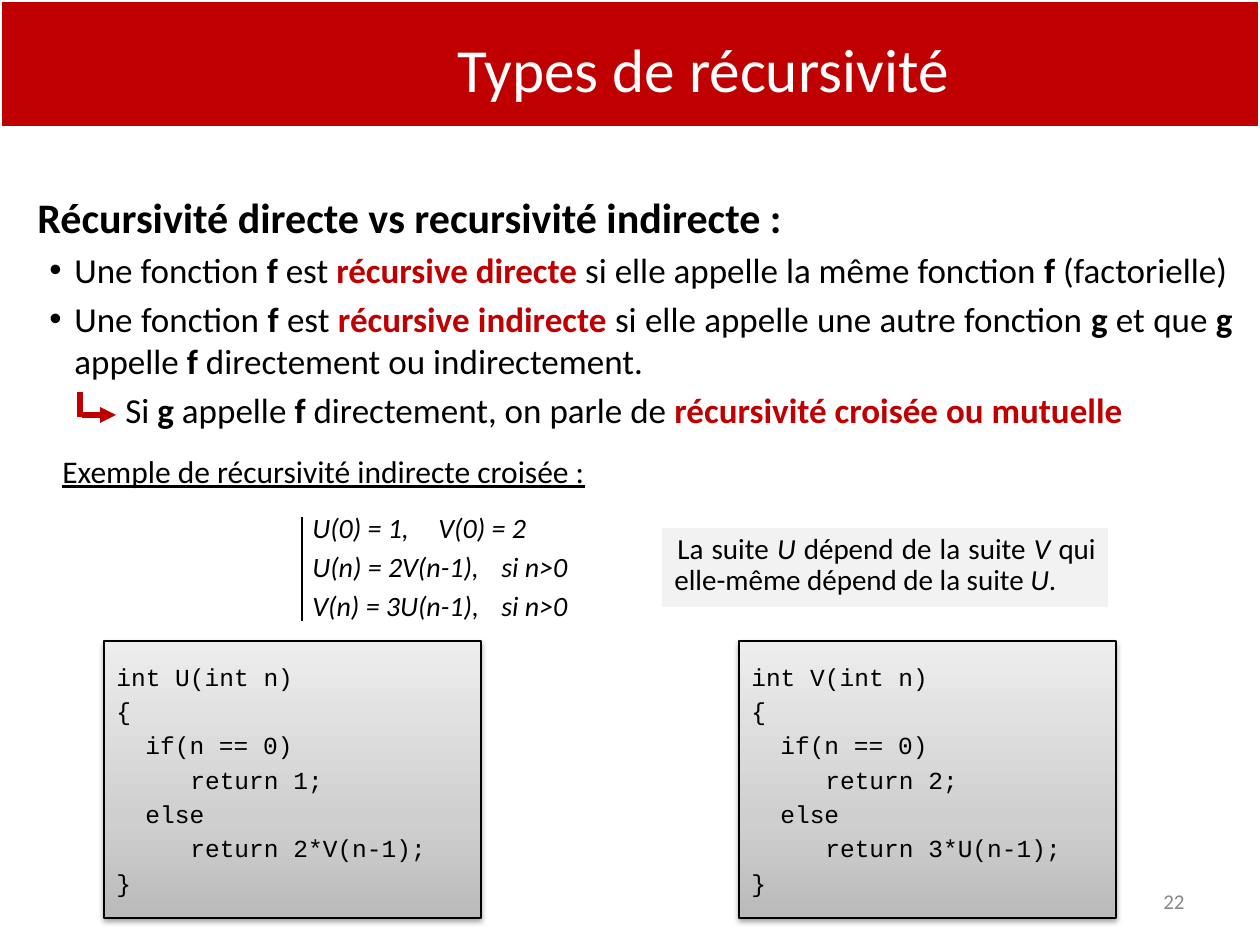
from lxml import etree
from pptx import Presentation, util as u
from pptx.dml.color import RGBColor
from pptx.enum import shapes, text
from pptx.oxml.ns import qn

PX = 914400 / 126
RED, BLACK, WHITE = "C00000", "000000", "FFFFFF"
ALIGN = text.PP_ALIGN


def px(length):
    return u.Emu(round(length * PX))


def rgb(value):
    return RGBColor.from_string(value)


def child(parent, tag, **attributes):
    """Append a drawing element whose attributes are given as plain values."""
    values = {name: str(value) for name, value in attributes.items()}
    return etree.SubElement(parent, qn(tag), values)


def write(frame, content, size=20, color=BLACK, font="Calibri", align=ALIGN.LEFT,
          bold=False, italic=False, underline=False, mark="bold", left=0, first=0,
          before=0, spacing=None, bullet=False, tab=None):
    """Add a paragraph; parts between bars take the mark, and bold terms turn red."""
    paragraph = frame.paragraphs[0]
    if paragraph.runs:
        paragraph = frame.add_paragraph()
    paragraph.alignment = align
    paragraph.space_before = u.Pt(before)
    if spacing:
        paragraph.line_spacing = spacing
    properties = paragraph._p.get_or_add_pPr()
    properties.set("marL", str(px(left)))
    properties.set("indent", str(px(first)))
    if bullet:
        child(properties, "a:buFont", typeface="Arial")
        child(properties, "a:buChar", char="•")
    if tab:
        stops = child(properties, "a:tabLst")
        child(stops, "a:tab", pos=px(tab), algn="l")
    for index, part in enumerate(content.split("|")):
        if not part:
            continue
        marked = index % 2 == 1
        run = paragraph.add_run()
        run.text = part
        style = run.font
        style.name, style.size = font, u.Pt(size)
        style.bold = bold or (marked and mark == "bold")
        style.italic = italic or (marked and mark == "italic")
        style.underline = underline
        is_term = marked and mark == "bold" and len(part) > 1
        style.color.rgb = rgb(RED if is_term else color)


def set_frame(shape, anchor=text.MSO_ANCHOR.TOP):
    frame = shape.text_frame
    frame.word_wrap = True
    frame.vertical_anchor = anchor
    return frame


def add_text(slide, x, y, width, height, **options):
    box = slide.shapes.add_textbox(px(x), px(y), px(width), px(height))
    return set_frame(box, **options)


def add_panel(slide, x, y, width, height, fill=None, line=None, weight=1):
    panel = slide.shapes.add_shape(shapes.MSO_SHAPE.RECTANGLE,
                                   px(x), px(y), px(width), px(height))
    panel.shadow.inherit = False
    if fill:
        panel.fill.solid()
        panel.fill.fore_color.rgb = rgb(fill)
    if line:
        panel.line.color.rgb = rgb(line)
        panel.line.width = u.Pt(weight)
    else:
        panel.line.fill.background()
    return panel


def add_line(slide, x1, y1, x2, y2, color, weight, arrow=False):
    line = slide.shapes.add_connector(shapes.MSO_CONNECTOR.STRAIGHT,
                                      px(x1), px(y1), px(x2), px(y2))
    line.line.color.rgb = rgb(color)
    line.line.width = u.Pt(weight)
    properties = line.element.spPr
    if arrow:
        child(properties.find(qn("a:ln")), "a:tailEnd", type="triangle")
    child(properties, "a:effectLst")


def add_code(slide, x, name, start, recursion):
    panel = add_panel(slide, x, 641, 377, 277, line=BLACK, weight=0.75)
    # Grey gradient, lighter towards the top
    panel.fill.background()
    properties = panel.element.spPr
    gradient = etree.Element(qn("a:gradFill"), rotWithShape="1")
    stops = child(gradient, "a:gsLst")
    for position, grey in ((0, "BABABA"), (35, "CFCFCF"), (100, "EDEDED")):
        child(child(stops, "a:gs", pos=position * 1000), "a:srgbClr", val=grey)
    child(gradient, "a:lin", ang=270 * 60000, scaled=1)
    properties.replace(properties.find(qn("a:noFill")), gradient)
    # Soft shadow below
    shadow = child(properties.find(qn("a:effectLst")), "a:outerShdw",
                   blurRad=u.Pt(3.1), dist=u.Pt(1.6), dir=90 * 60000, rotWithShape=0)
    child(child(shadow, "a:srgbClr", val=BLACK), "a:alpha", val=37000)
    # Source lines, each with its indent in px
    frame = set_frame(panel, anchor=text.MSO_ANCHOR.MIDDLE)
    source = [(0, f"int {name}(int n)"), (0, "{"), (29, "if(n == 0)"),
              (74, f"return {start};"), (29, "else"),
              (74, f"return {recursion};"), (0, "}")]
    for number, (indent, statement) in enumerate(source):
        write(frame, statement, size=14, font="Courier New", left=indent,
              before=2.8 if number else 0)


def add_body(slide):
    body = add_text(slide, 0, 160, 1245, 785)
    write(body, "Récursivité directe vs recursivité indirecte :", size=24, bold=True,
          left=63, first=-38, spacing=1.5, align=ALIGN.JUSTIFY)
    for definition in (
            "Une fonction |f| est |récursive directe |si elle appelle la même "
            "fonction |f| (factorielle)",
            "Une fonction |f| est |récursive indirecte| si elle appelle une autre "
            "fonction |g| et que |g| appelle |f| directement ou indirectement."):
        write(body, definition, left=62, first=-25, before=4, bullet=True,
              align=ALIGN.JUSTIFY)
    write(body, "Si |g| appelle |f| directement, on parle de "
          "|récursivité croisée ou mutuelle", left=113, before=4)
    write(body, "Exemple de récursivité indirecte croisée :", size=18,
          underline=True, left=50, before=12)
    for formula, tab, before in (("U(0) = 1,\tV(0) = 2", 434, 12),
                                 ("U(n) = 2V(n-1),\tsi n>0", 504, 3.2),
                                 ("V(n) = 3U(n-1),\tsi n>0", 504, 3.2)):
        write(body, formula, size=16, italic=True, left=300, before=before, tab=tab)


def main():
    deck = Presentation()
    deck.slide_width, deck.slide_height = px(1260), px(945)
    slide = deck.slides.add_slide(deck.slide_layouts[6])

    # Definitions, example and slide number
    add_body(slide)
    number = add_text(slide, 903, 876, 294, 50, anchor=text.MSO_ANCHOR.MIDDLE)
    write(number, "22", size=12, color="888888", align=ALIGN.RIGHT)

    # Title banner
    add_panel(slide, 0, 0, 1260, 128, fill=RED, line=WHITE, weight=2)
    title = add_text(slide, 382, 25, 585, 87)
    write(title, "Types de récursivité", size=35, color=WHITE, left=63)

    # Bar beside the formulas and remark on them
    add_line(slide, 302, 517, 302, 621, BLACK, 1.5)
    remark = add_panel(slide, 662, 528, 446, 79, fill="F2F2F2")
    write(set_frame(remark), "La suite |U| dépend de la suite |V| qui elle-même "
          "dépend de la suite |U|.", size=16.6, mark="italic", first=3,
          spacing=0.9, align=ALIGN.JUSTIFY)

    # The two functions that call each other
    add_code(slide, 104, "U", 1, "2*V(n-1)")
    add_code(slide, 739, "V", 2, "3*U(n-1)")

    # Bent arrow to the special case
    add_line(slide, 82, 415, 116, 415, RED, 3, arrow=True)
    add_line(slide, 80, 392, 80, 417, RED, 3)

    deck.save("out.pptx")


if __name__ == "__main__":
    main()
